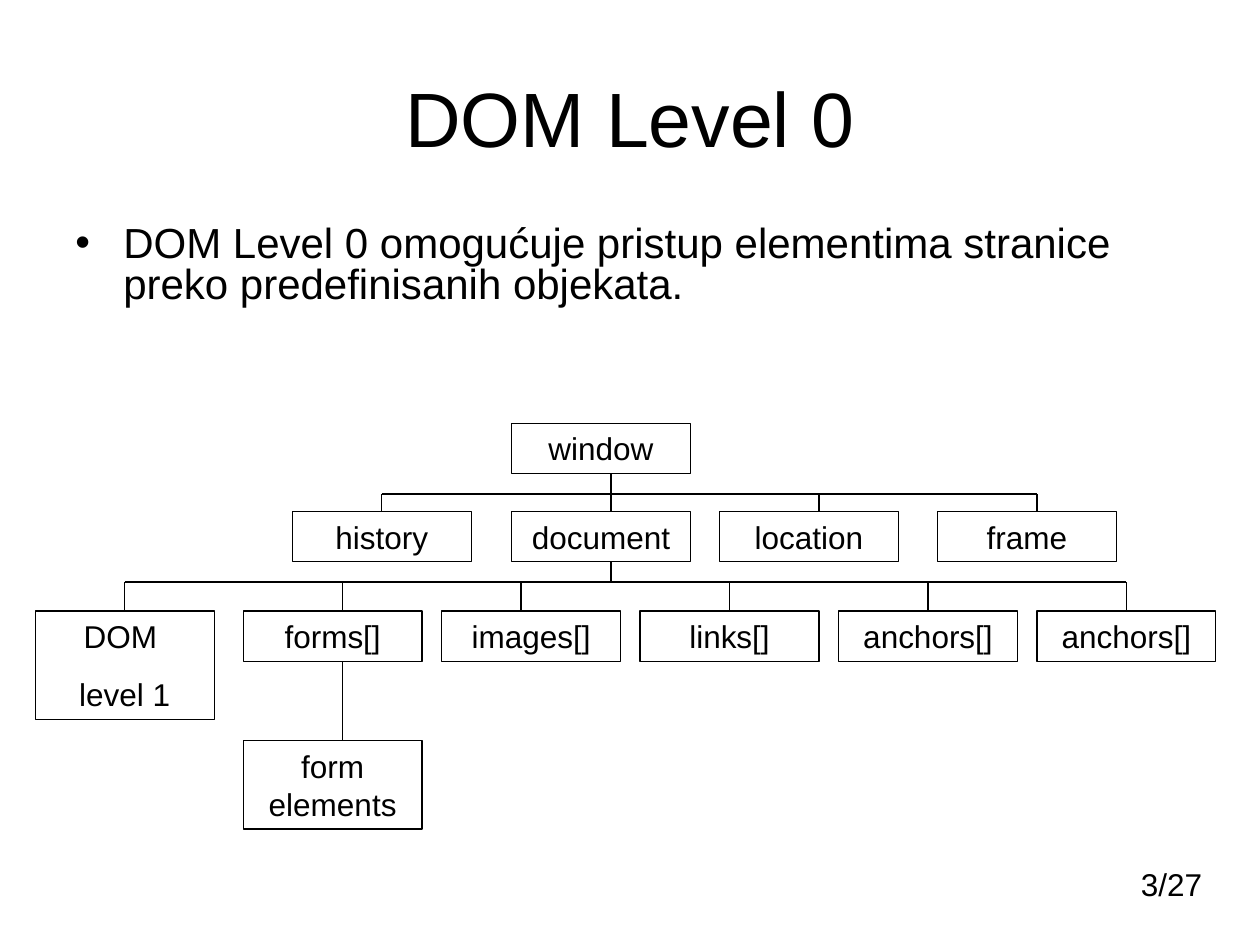
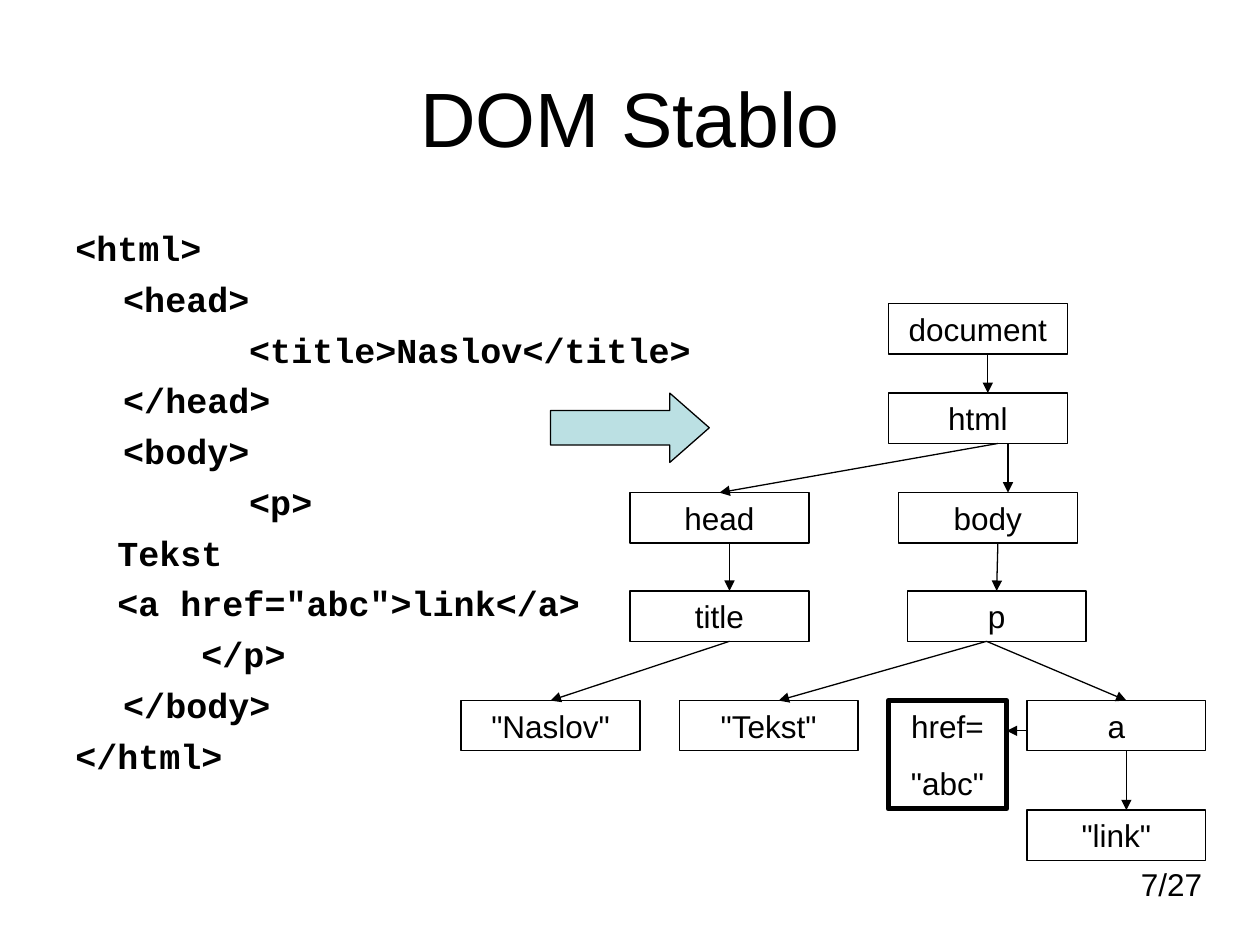
from lxml import etree
from pptx import Presentation
from pptx import util as u
from pptx.dml.color import RGBColor
from pptx.enum import shapes, text
from pptx.oxml import ns

HUES = {"ink": "000000", "arrow": "BBE0E3"}
SANS, MONO = "Arial", "Courier New"
SIZES = {"title": 44, "body": 24, "code": 20, "label": 18}
PAGES = 27

WIDE, HIGH = 1.42, 0.4
TWO_LINE, WRAPPED = 0.86, 0.7
THIN, THICK = 0.75, 3
NUDGE = 0.08
HANG, TAB = 0.38, 1

INTRO = "DOM Level 0 omogućuje pristup elementima stranice preko predefinisanih objekata."

BAR_GAP = 0.16
ARRAY_LEFT, ARRAY_STEP = 1.93, 1.575
ROOT = ("window", 4.06, 3.36)
FORM = ("form elements", ARRAY_LEFT, 5.88)
ARRAYS = [("forms[]", 1), ("images[]", -1), ("links[]", 0), ("anchors[]", 0), ("anchors[]", 0)]
OBJECTS = [("history", 2.32, 0), ("document", 4.06, 1), ("location", 5.71, 1), ("frame", 7.44, 1)]
MEMBERS = [("DOM \nlevel 1", 0.28, 0)] + [
    (label, ARRAY_LEFT + i * ARRAY_STEP, nudge) for i, (label, nudge) in enumerate(ARRAYS)]
TIERS = [(4.06, OBJECTS), (4.85, MEMBERS)]

CODE = [
    (0, '<html>'),
    (HANG, '<head>'),
    (HANG + TAB, '<title>Naslov</title>'),
    (HANG, '</head>'),
    (HANG, '<body>'),
    (HANG + TAB, '<p>'),
    (0, '  Tekst'),
    (0, '  <a href="abc">link</a>'),
    (0, '      </p>'),
    (HANG, '</body>'),
    (0, '</html>'),
]

ROWS = [
    (2.41, {'document': 7.05}),
    (3.12, {'html': 7.05}),
    (3.91, {'head': 5, 'body': 7.13}),
    (4.69, {'title': 5, 'p': 7.2}),
    (5.56, {'"Naslov"': 3.66, '"Tekst"': 5.39, 'a': 8.15}),
    (6.43, {'"link"': 8.15}),
]
EDGES = [
    ('document', 1, 'html', 1),
    ('html', 2, 'head', 0),
    ('html', 3, 'body', 2),
    ('head', 1, 'title', 1),
    ('body', 1, 'p', 0),
    ('title', 1, '"Naslov"', 0),
    ('p', -1, '"Tekst"', 1),
    ('p', -1, 'a', 1),
    ('a', 1, '"link"', 1),
]
ATTR = {"label": 'href=\n"abc"', "left": 7.05, "wide": 0.94, "port": 0.24}


def hue(name):
    return RGBColor.from_string(HUES[name])


def inch(*nums):
    return [u.Inches(n) for n in nums]


def port(left, nudge):
    return left + WIDE / 2 + nudge * NUDGE


def indent(para, left, first=0):
    props = para._p.get_or_add_pPr()
    props.set("marL", str(u.Inches(left)))
    props.set("indent", str(u.Inches(first)))
    return props


def bullet(para):
    props = indent(para, HANG, -HANG)
    etree.SubElement(props, ns.qn("a:buFont"), typeface=SANS)
    etree.SubElement(props, ns.qn("a:buChar"), char="•")


def put_text(shape, lines, kind, align="LEFT", gap=0, anchor="TOP", face=SANS, bold=False):
    frame = shape.text_frame
    frame.word_wrap = True
    frame.vertical_anchor = getattr(text.MSO_ANCHOR, anchor)
    frame.text = "\n".join(lines)
    for i, para in enumerate(frame.paragraphs):
        para.alignment = getattr(text.PP_ALIGN, align)
        para.space_before = u.Pt(gap if i else 0)
    return [set_font(para, kind, face, bold) for para in frame.paragraphs]


def set_font(para, kind, face, bold):
    font = para.font
    font.size, font.name, font.bold = u.Pt(SIZES[kind]), face, bold
    font.color.rgb = hue("ink")
    return para


def write(slide, at, lines, kind, **look):
    return put_text(slide.shapes.add_textbox(*inch(*at)), lines, kind, **look)


def ink(line, weight=THIN):
    line.color.rgb = hue("ink")
    line.width = u.Pt(weight)


def draw(slide, kind, at, weight=THIN):
    shape = slide.shapes.add_shape(kind, *inch(*at))
    shape.shadow.inherit = False
    shape.fill.background()
    ink(shape.line, weight)
    return shape


def node(slide, label, left, top, wide=WIDE, high=None, weight=THIN):
    lines = label.split("\n")
    high = high or (TWO_LINE if len(lines) > 1 else HIGH)
    box = draw(slide, shapes.MSO_SHAPE.RECTANGLE, (left, top, wide, high), weight)
    put_text(box, lines, "label", align="CENTER", gap=11.2)


def link(slide, *ends, head=False):
    line = slide.shapes.add_connector(shapes.MSO_CONNECTOR.STRAIGHT, *inch(*ends))
    ink(line.line)
    props = line._element.spPr
    if head:
        etree.SubElement(props.find(ns.qn("a:ln")), ns.qn("a:tailEnd"), type="triangle")
    etree.SubElement(props, ns.qn("a:effectLst"))


def start(deck, title, page):
    slide = deck.slides.add_slide(deck.slide_layouts[6])
    write(slide, (0.5, 0.3, 9, 1.25), [title], "title", align="CENTER", anchor="MIDDLE")
    write(slide, (7.44, 6.82, 2.2, 0.4), [f"{page}/{PAGES}"], "label", align="RIGHT")
    return slide


def add_tier(slide, stem, base, top, kids):
    bar = base + BAR_GAP
    drops = [port(left, nudge) for _, left, nudge in kids]
    link(slide, stem, base, stem, bar)
    link(slide, drops[0], bar, drops[-1], bar)
    for (label, left, _), drop in zip(kids, drops):
        node(slide, label, left, top)
        link(slide, drop, bar, drop, top)


def build_levels(deck):
    slide = start(deck, "DOM Level 0", 3)
    intro = write(slide, (0.5, 1.75, 9.15, 1.84), [INTRO], "body")[0]
    intro.line_spacing = 0.8
    bullet(intro)

    node(slide, *ROOT)
    stem, base = port(ROOT[1], 1), ROOT[2] + HIGH
    for top, kids in TIERS:
        add_tier(slide, stem, base, top, kids)
        base = top + HIGH

    label, left, top = FORM
    node(slide, label, left, top, high=WRAPPED)
    link(slide, port(left, 1), base, port(left, 1), top)


def build_tree(deck):
    slide = start(deck, "DOM Stablo", 7)
    paras = write(slide, (0.5, 1.75, 9, 4.95), [line for _, line in CODE], "code",
                  gap=5, face=MONO, bold=True)
    for para, (left, _) in zip(paras, CODE):
        indent(para, left)

    arrow = draw(slide, shapes.MSO_SHAPE.RIGHT_ARROW, (4.37, 3.12, 1.26, 0.55))
    arrow.fill.solid()
    arrow.fill.fore_color.rgb = hue("arrow")
    arrow.adjustments[1] = 0.57

    spots = {label: (left, top) for top, row in ROWS for label, left in row.items()}
    for label, spot in spots.items():
        node(slide, label, *spot)
    for parent, out, child, into in EDGES:
        (left, top), (kid_left, kid_top) = spots[parent], spots[child]
        link(slide, port(left, out), top + HIGH, port(kid_left, into), kid_top, head=True)

    owner_left, top = spots['a']
    node(slide, ATTR["label"], ATTR["left"], top, wide=ATTR["wide"], weight=THICK)
    level = top + ATTR["port"]
    link(slide, owner_left, level, ATTR["left"] + ATTR["wide"], level, head=True)


def main():
    deck = Presentation()
    deck.slide_width, deck.slide_height = inch(10, 7.5)
    build_levels(deck)
    build_tree(deck)
    deck.save("out.pptx")


if __name__ == "__main__":
    main()
